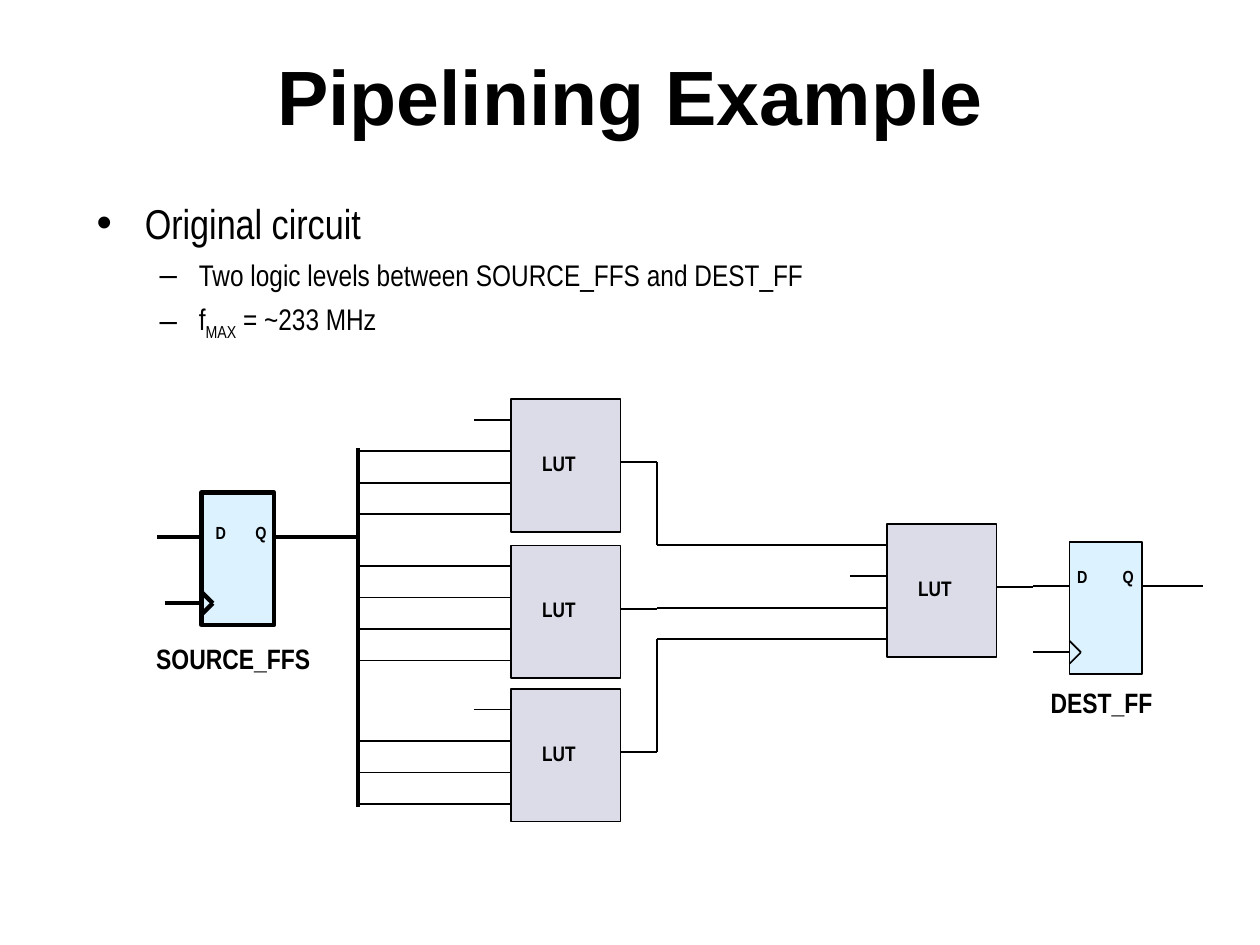
from lxml import etree
from pptx import Presentation
from pptx.dml.color import RGBColor
from pptx.enum.shapes import MSO_CONNECTOR, MSO_SHAPE
from pptx.enum.text import MSO_ANCHOR, PP_ALIGN
from pptx.oxml.ns import qn
from pptx.util import Cm, Pt

RECT, LINE = MSO_SHAPE.RECTANGLE, MSO_CONNECTOR.STRAIGHT
LEFT, MID = PP_ALIGN.LEFT, PP_ALIGN.CENTER
TOP, CENTER = MSO_ANCHOR.TOP, MSO_ANCHOR.MIDDLE

BLACK = RGBColor(0x00, 0x00, 0x00)
BLUE = RGBColor(0xDD, 0xF2, 0xFF)
GREY = RGBColor(0xDC, 0xDC, 0xE8)

# Font formats
TITLE = {"name": "Arial", "size": Pt(44), "bold": True}
HEAD = {"name": "Arial Narrow", "size": Pt(23.8)}
ITEM = {"name": "Arial Narrow", "size": Pt(17)}
NAME = {"name": "Arial Narrow", "size": Pt(16), "bold": True}
GATE = {"name": "Arial Narrow", "size": Pt(12), "bold": True}
PORT = {"name": "Arial Narrow", "size": Pt(10), "bold": True}

# Circuit measures in cm
THIN, THICK = 1, 2.5
TALL, LUT_W, FF_W = 2.67, 2.21, 1.47
STUB = 0.74
PINS = [0.41 + 0.635 * i for i in range(4)]
OUT = 1.27


class Sheet:
    def __init__(self, slide):
        self.shapes = slide.shapes

    def run(self, para, text, style, base=0):
        run = para.add_run()
        run.text = text
        for key, value in style.items():
            setattr(run.font, key, value)
        run.font.color.rgb = BLACK
        if base:
            run._r.get_or_add_rPr().set("baseline", str(base))

    def frame(self, x, y, w, h, wrap=True, anchor=TOP):
        box = self.shapes.add_textbox(Cm(x), Cm(y), Cm(w), Cm(h))
        frame = box.text_frame
        frame.word_wrap = wrap
        frame.vertical_anchor = anchor
        return frame

    def text(self, x, y, w, h, text, style, align=LEFT, wrap=False, anchor=TOP):
        para = self.frame(x, y, w, h, wrap, anchor).paragraphs[0]
        para.alignment = align
        self.run(para, text, style)

    def bullet(self, para, mark, left, hang, level=0):
        para.level = level
        props = para._p.get_or_add_pPr()
        props.set("marL", str(Cm(left)))
        props.set("indent", str(-Cm(hang)))
        color = etree.SubElement(props, qn("a:buClr"))
        etree.SubElement(color, qn("a:srgbClr")).set("val", str(BLACK))
        for tag, key, value in (("a:buSzPct", "val", "105000"),
                                ("a:buFont", "typeface", "Arial"),
                                ("a:buChar", "char", mark)):
            etree.SubElement(props, qn(tag)).set(key, value)

    def list(self, x, y, w, h, rows):
        frame = self.frame(x, y, w, h)
        for i, (level, style, parts) in enumerate(rows):
            para = frame.add_paragraph() if i else frame.paragraphs[0]
            if level:
                self.bullet(para, "–", 2.06, 0.79, level)
            else:
                self.bullet(para, "•", 0.97, 0.97)
            if i:
                para.space_before = Pt(5)
            for text, base in parts:
                self.run(para, text, style, base)

    def rect(self, x, y, w, fill, weight=THIN):
        box = self.shapes.add_shape(RECT, Cm(x), Cm(y), Cm(w), Cm(TALL))
        box.shadow.inherit = False
        box.fill.solid()
        box.fill.fore_color.rgb = fill
        box.line.color.rgb = BLACK
        box.line.width = Pt(weight)

    def wire(self, x1, y1, x2, y2, weight=THIN):
        wire = self.shapes.add_connector(LINE, Cm(x1), Cm(y1), Cm(x2), Cm(y2))
        wire.line.color.rgb = BLACK
        wire.line.width = Pt(weight)
        etree.SubElement(wire._element.spPr, qn("a:effectLst"))

    def lut(self, x, y, starts):
        """Table with one wire per input; a start of None leaves it open."""
        self.rect(x, y, LUT_W, GREY)
        for pin, start in zip(PINS, starts):
            self.wire(start or x - STUB, y + pin, x, y + pin)
        self.wire(x + LUT_W, y + OUT, x + LUT_W + STUB, y + OUT)
        self.text(x + 0.38, y + 0.91, 1.37, 0.76, "LUT", GATE)

    def flop(self, x, y, lead, end, weight, ports):
        self.rect(x, y, FF_W, BLUE, weight)
        self.wire(x - lead, y + 0.89, x, y + 0.89, weight)
        self.wire(x + FF_W, y + 0.89, end, y + 0.89, weight)
        # Clock input
        self.wire(x - STUB, y + 2.23, x, y + 2.23, weight)
        for edge in (2, 2.46):
            self.wire(x, y + edge, x + 0.23, y + 2.23, weight)
        for port, dx, dy in ports:
            self.text(x + dx, y + dy, 0.72, 0.69, port, PORT, MID)


def main():
    deck = Presentation()
    deck.slide_width, deck.slide_height = Cm(25.4), Cm(19.05)
    sheet = Sheet(deck.slides.add_slide(deck.slide_layouts[6]))

    # Title and bullets
    sheet.text(1.7, 0.91, 22.02, 2.01, "Pipelining Example", TITLE, MID, True, CENTER)
    sheet.list(1.7, 3.86, 21.59, 3.25, [
        (0, HEAD, [("Original circuit", 0)]),
        (1, ITEM, [("Two logic levels between SOURCE_FFS and DEST_FF", 0)]),
        (1, ITEM, [("f", 0), ("MAX", -25000), (" = ~233 MHz", 0)]),
    ])

    # Source flip-flop and bus
    bus = 7.22
    sheet.flop(4.06, 9.93, 0.89, bus, THICK, [("D", 0.03, 0.46), ("Q", 0.84, 0.46)])
    sheet.text(2.9, 12.8, 3.61, 0.94, "SOURCE_FFS", NAME)
    sheet.wire(bus, 9.04, bus, 16.26, THICK)

    # First logic level
    left, tops = 10.3, (8.05, 11, 13.89)
    for top, first in zip(tops, (None, bus, None)):
        sheet.lut(left, top, [first, bus, bus, bus])

    # Second logic level
    turn, top = left + LUT_W + STUB, 10.57
    sheet.lut(17.88, top, [turn, None, turn, turn])
    sheet.wire(turn, tops[0] + OUT, turn, top + PINS[0])
    sheet.wire(turn, tops[2] + OUT, turn, top + PINS[3])

    # Destination flip-flop
    sheet.flop(21.56, 10.92, STUB, 24.26, THIN, [("D", -0.1, 0.37), ("Q", 0.82, 0.37)])
    sheet.text(20.93, 13.69, 2.57, 0.94, "DEST_FF", NAME)

    deck.save("out.pptx")


if __name__ == "__main__":
    main()
